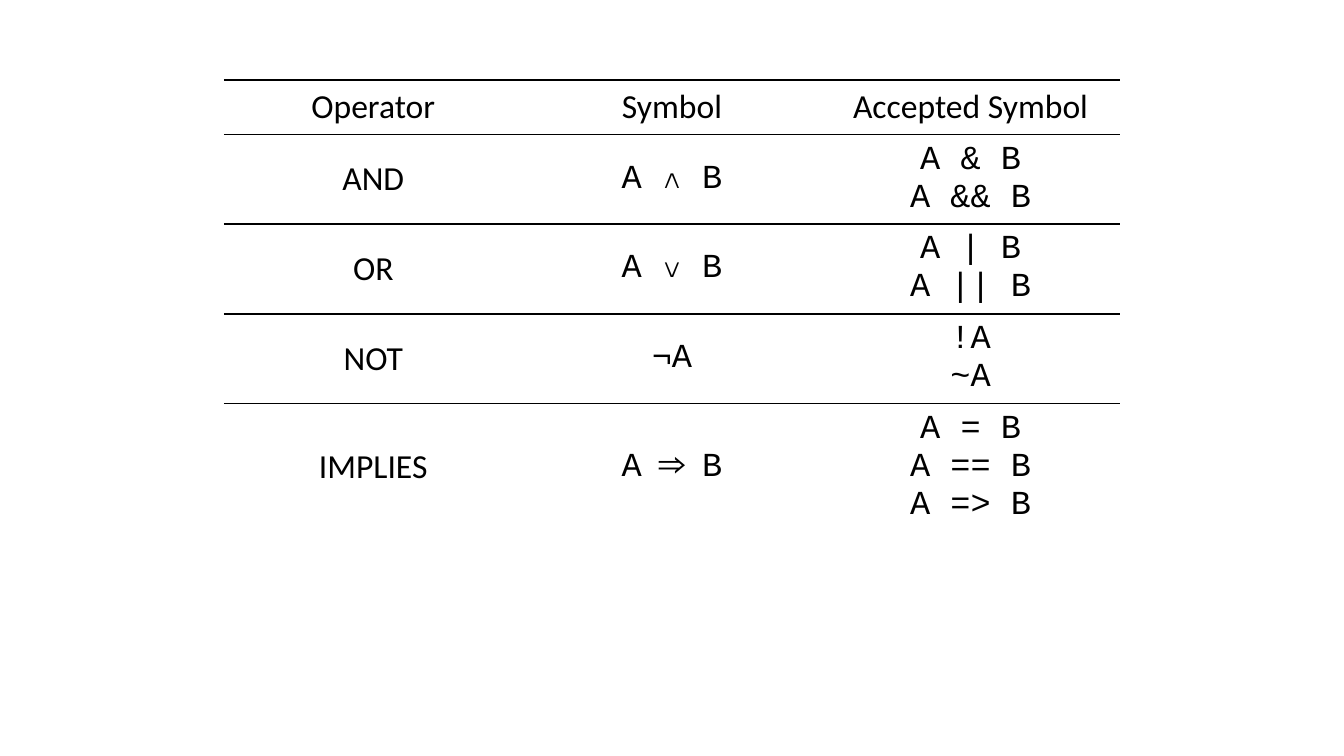
from lxml import etree
from pptx import Presentation
from pptx import util as u
from pptx.dml import color
from pptx.enum import text
from pptx.oxml import ns

PX = 9525
NO_STYLE = "{2D5ABB26-0587-4C30-8999-92F81FD0307C}"
BLACK = "000000"


def add_border(cell, tag, position):
    """Put a 1 pt black line on one cell side, at its place among the cell properties."""
    line = etree.Element(ns.qn(tag), w=str(u.Pt(1)))
    fill = etree.SubElement(line, ns.qn("a:solidFill"))
    etree.SubElement(fill, ns.qn("a:srgbClr"), val=BLACK)
    cell._tc.get_or_add_tcPr().insert(position, line)


rows = [
    ("Operator", "Symbol", "Accepted Symbol"),
    ("AND", "A ∧ B", "A & B\nA && B"),
    ("OR", "A ∨ B", "A | B\nA || B"),
    ("NOT", "¬A", "!A\n~A"),
    ("IMPLIES", "A ⇒ B", "A = B\nA == B\nA => B"),
]

presentation = Presentation()
presentation.slide_width = 960 * PX
presentation.slide_height = 540 * PX
slide = presentation.slides.add_slide(presentation.slide_layouts[6])

frame = slide.shapes.add_table(len(rows), 3, 160 * PX, 57 * PX, 640 * PX, 337 * PX)
table = frame.table
table.first_row = False
table.horz_banding = False
frame._element.find(".//" + ns.qn("a:tableStyleId")).text = NO_STYLE
for row in table.rows:
    row.height = 39 * PX
frame.height = 337 * PX

for row_index, labels in enumerate(rows):
    for column_index, label in enumerate(labels):
        cell = table.cell(row_index, column_index)
        cell.text_frame.text = label
        cell.fill.background()
        add_border(cell, "a:lnT", 0)
        if row_index < len(rows) - 1:
            add_border(cell, "a:lnB", 1)
        is_code = row_index > 0 and column_index > 0
        if row_index > 0:
            cell.vertical_anchor = text.MSO_ANCHOR.MIDDLE
        for paragraph in cell.text_frame.paragraphs:
            paragraph.alignment = text.PP_ALIGN.CENTER
            for run in paragraph.runs:
                run.font.size = u.Pt(18)
                run.font.name = "Courier New" if is_code else "Calibri"
                run.font.color.rgb = color.RGBColor.from_string(BLACK)

presentation.save("out.pptx")
